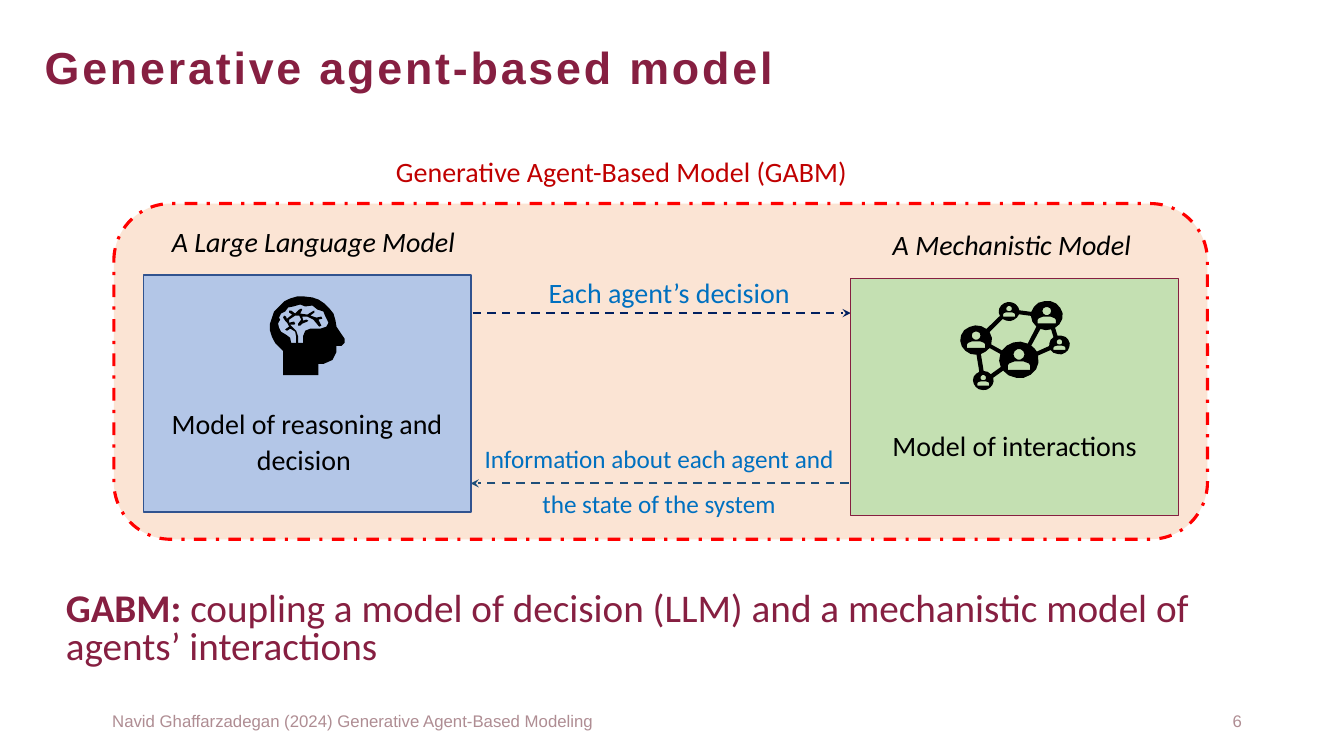
from math import asin, atan2, cos, pi, radians, sin

from lxml import etree
from pptx import Presentation
from pptx.dml.color import RGBColor
from pptx.enum import dml, shapes, text
from pptx.oxml import ns
from pptx.util import Cm, Pt

HUE = {
    "maroon": "861F41", "rose": "AF8D93", "red": "FF0000", "brick": "C00000",
    "peach": "FBE4D4", "sky": "B3C6E7", "leaf": "C4E0B2", "black": "000000",
    "blue": "0070C0", "edge": "31538F", "navy": "002060", "steel": "1E4E79",
}
KIND = shapes.MSO_SHAPE
DASH = dml.MSO_LINE
ALIGN = text.PP_ALIGN
ANCHOR = text.MSO_ANCHOR

# Head icon, in units of 0.0254 cm from its own corner
FACE = [(14, 54), (14, 78), (49, 78), (49, 67), (54, 67), (63, 63), (67, 55),
        (67, 49), (72, 49), (75, 46), (75, 42)]
BRAIN = [
    (51, 32), (41, 32), (36, 34), (34, 39), (34, 46), (29, 46), (29, 40),
    (27, 34), (24, 31), (22, 29), (21, 28), (25, 28), (26, 27), (25, 25),
    (20, 26), (20, 23), (26, 19), (30, 19), (32, 23), (29, 27), (29, 29),
    (31, 29), (33, 27), (38, 25), (39, 24), (37, 23), (34, 24), (33, 20),
    (38, 20), (44, 23), (49, 29), (50, 30), (52, 29), (49, 23), (53, 22),
    (52, 20), (47, 21), (41, 19), (45, 16), (45, 14), (43, 15), (38, 18),
    (31, 17), (33, 13), (32, 12), (30, 13), (26, 17), (22, 14), (20, 14),
    (20, 16), (23, 18), (18, 22), (18, 23), (17, 20), (15, 19), (14, 21),
    (16, 24), (18, 26), (20, 30), (17, 32), (16, 33), (18, 34), (21, 32),
    (23, 33), (26, 35), (27, 40), (27, 46), (22, 46), (21, 41), (17, 38),
    (12, 35), (10, 31), (9, 27), (11, 23), (10, 21), (12, 17), (16, 15),
    (19, 11), (24, 10), (31, 8), (36, 10), (43, 9), (48, 13), (54, 15),
    (56, 20), (59, 26), (57, 30)]
# Agents of the network: centre and half width, in units of 0.01 cm
AGENTS = {
    "a": (2460, 857, 40), "b": (2543, 785, 26), "c": (2638, 795, 40),
    "d": (2670, 869, 26), "e": (2568, 907, 50), "f": (2478, 959, 26),
}
# Rim of the network, then the gaps between its links
RINGS = ["abcdef", "afe", "aecb", "ced"]
TORSO = [(-0.57, 0.5), (-0.57, 0.28), (-0.5, 0.17), (-0.25, 0.08),
         (0.25, 0.08), (0.5, 0.17), (0.57, 0.28), (0.57, 0.5)]


def rgb(name):
    return RGBColor.from_string(HUE[name])


def paint(shape, fill, line=None, width=1, dash=None):
    shape.shadow.inherit = False
    shape.fill.solid()
    shape.fill.fore_color.rgb = rgb(fill)
    if line:
        shape.line.color.rgb = rgb(line)
        shape.line.width = Pt(width)
        if dash:
            shape.line.dash_style = dash
    else:
        shape.line.fill.background()


def add_run(para, words, size, hue, font="Calibri", bold=False, italic=False):
    run = para.add_run()
    run.text = words
    run.font.size = Pt(size)
    run.font.name = font
    run.font.bold = bold
    run.font.italic = italic
    run.font.color.rgb = rgb(hue)
    return run


def set_para(frame, align, space=1.07, after=8, anchor=ANCHOR.TOP):
    """Set up the frame and return its first paragraph."""
    frame.word_wrap = True
    frame.auto_size = text.MSO_AUTO_SIZE.NONE
    frame.vertical_anchor = anchor
    para = frame.paragraphs[0]
    para.alignment = align
    para.line_spacing = space
    para.space_before = Pt(0)
    para.space_after = Pt(after)
    return para


def add_label(slide, box, words, size, hue, align=ALIGN.CENTER, space=1.07,
              after=8, anchor=ANCHOR.TOP, **style):
    label = slide.shapes.add_textbox(*map(Cm, box))
    para = set_para(label.text_frame, align, space, after, anchor)
    add_run(para, words, size, hue, **style)
    return para


def add_shape(slide, kind, box, **look):
    shape = slide.shapes.add_shape(kind, *map(Cm, box))
    paint(shape, **look)
    return shape


def add_model(slide, left, top, words, fill, line):
    box = add_shape(slide, KIND.RECTANGLE, (left, top, 8.26, 5.97),
                    fill=fill, line=line)
    frame = box.text_frame
    frame.margin_top = Cm(2.5)  # room for the icon
    para = set_para(frame, ALIGN.CENTER, anchor=ANCHOR.MIDDLE)
    add_run(para, words, 20, "black")


def add_arrow(slide, start, end, hue):
    arrow = slide.shapes.add_connector(
        shapes.MSO_CONNECTOR.STRAIGHT, *map(Cm, (*start, *end)))
    line = arrow.line
    line.color.rgb = rgb(hue)
    line.width = Pt(1.5)
    line.dash_style = DASH.DASH
    tail = etree.SubElement(line._get_or_add_ln(), ns.qn("a:tailEnd"))
    tail.set("type", "stealth")
    etree.SubElement(arrow._element.spPr, ns.qn("a:effectLst"))


def add_icon(slide, loops, unit, left=0, top=0):
    """Draw one black shape; loops inside another loop are holes."""
    pen = slide.shapes.build_freeform(*loops[0][0], scale=Cm(unit))
    for loop in loops:
        pen.move_to(*loop[0])
        pen.add_line_segments(loop[1:], close=True)
    paint(pen.convert_to_shape(Cm(left), Cm(top)), "black")


def arc(x, y, wide, high, start, end, count):
    turns = [start + (end - start) * i / count for i in range(count + 1)]
    return [(x + wide * cos(t), y + high * sin(t)) for t in turns]


def add_head(slide):
    skull = arc(34, 30, 33, 30, radians(360), radians(135), 18)
    add_icon(slide, [skull + FACE, BRAIN], 0.0254, 6.78, 7.47)


def trace(ring):
    """Follow a ring of agents: an arc at each, a straight link between."""
    loop = []
    for i, name in enumerate(ring):
        x, y, r = AGENTS[name]
        back, ahead = (
            atan2(AGENTS[n][1] - y, AGENTS[n][0] - x)
            for n in (ring[i - 1], ring[(i + 1) % len(ring)]))
        gap = asin(5.5 / r)  # half the width of a link
        sweep = (ahead - back) % (2 * pi) - 2 * gap
        count = max(2, round(sweep / 0.4))
        loop += arc(x, y, r, 0.92 * r, back + gap, back + gap + sweep, count)
    return loop


def add_network(slide):
    loops = [trace(ring) for ring in RINGS]
    for x, y, r in AGENTS.values():
        loops.append(arc(x, y - 0.28 * r, 0.28 * r, 0.27 * r, 0, 1.8 * pi, 9))
        loops.append([(x + dx * r, y + dy * r) for dx, dy in TORSO])
    add_icon(slide, loops, 0.01)


def set_title(slide, words):
    title = slide.shapes.title
    title.left, title.top, title.width, title.height = map(
        Cm, (0.87, 1.02, 32.61, 2.64))
    para = set_para(title.text_frame, ALIGN.LEFT, 0.9, 0)
    run = add_run(para, words, 32, "maroon", "Arial", bold=True)
    run.font._element.set("spc", "200")


def main():
    deck = Presentation()
    deck.slide_width, deck.slide_height = Cm(33.87), Cm(19.05)
    slide = deck.slides.add_slide(deck.slide_layouts[5])
    set_title(slide, "Generative agent-based model")
    add_label(slide, (2.34, 17.65, 13.11, 1.02),
              "Navid Ghaffarzadegan (2024) Generative Agent-Based Modeling",
              12, "rose", space=1, after=0, anchor=ANCHOR.MIDDLE, font="Arial")
    add_label(slide, (23.93, 17.65, 7.62, 1.02), "6", 12, "rose", ALIGN.RIGHT,
              1, 0, ANCHOR.MIDDLE, font="Arial")

    frame = add_shape(slide, KIND.ROUNDED_RECTANGLE, (2.87, 5.13, 27.56, 8.46),
                      fill="peach", line="red", width=2.25, dash=DASH.DASH_DOT)
    frame.adjustments[0] = 0.17
    add_arrow(slide, (11.91, 7.89), (21.44, 7.89), "navy")
    add_arrow(slide, (21.39, 12.18), (11.86, 12.18), "steel")
    add_model(slide, 3.61, 6.93, "Model of reasoning and decision ", "sky", "edge")
    add_model(slide, 21.44, 7.02, "Model of interactions", "leaf", "maroon")

    add_label(slide, (12.7, 6.76, 8.33, 1.42), "Each agent’s decision", 20, "blue")
    add_label(slide, (11.86, 10.66, 9.5, 2.46),
              "Information about each agent and the state of the system",
              18, "blue", space=1.5)
    add_label(slide, (3.33, 5.47, 9.3, 1.24), "A Large Language Model ",
              20, "black", italic=True)
    add_label(slide, (20.88, 5.56, 9.4, 1.63), "A Mechanistic Model ",
              20, "black", italic=True)
    add_head(slide)
    add_network(slide)
    add_label(slide, (9.73, 3.71, 13.31, 1.63),
              "Generative Agent-Based Model (GABM)", 20, "brick", ALIGN.LEFT)

    para = add_label(slide, (1.41, 14.81, 31.55, 2.36), "GABM: ", 28, "maroon",
                     ALIGN.LEFT, 0.8, 0, bold=True)
    add_run(para, "coupling a model of decision (LLM) and a mechanistic model "
            "of agents’ interactions", 28, "maroon")
    deck.save("out.pptx")


if __name__ == "__main__":
    main()
